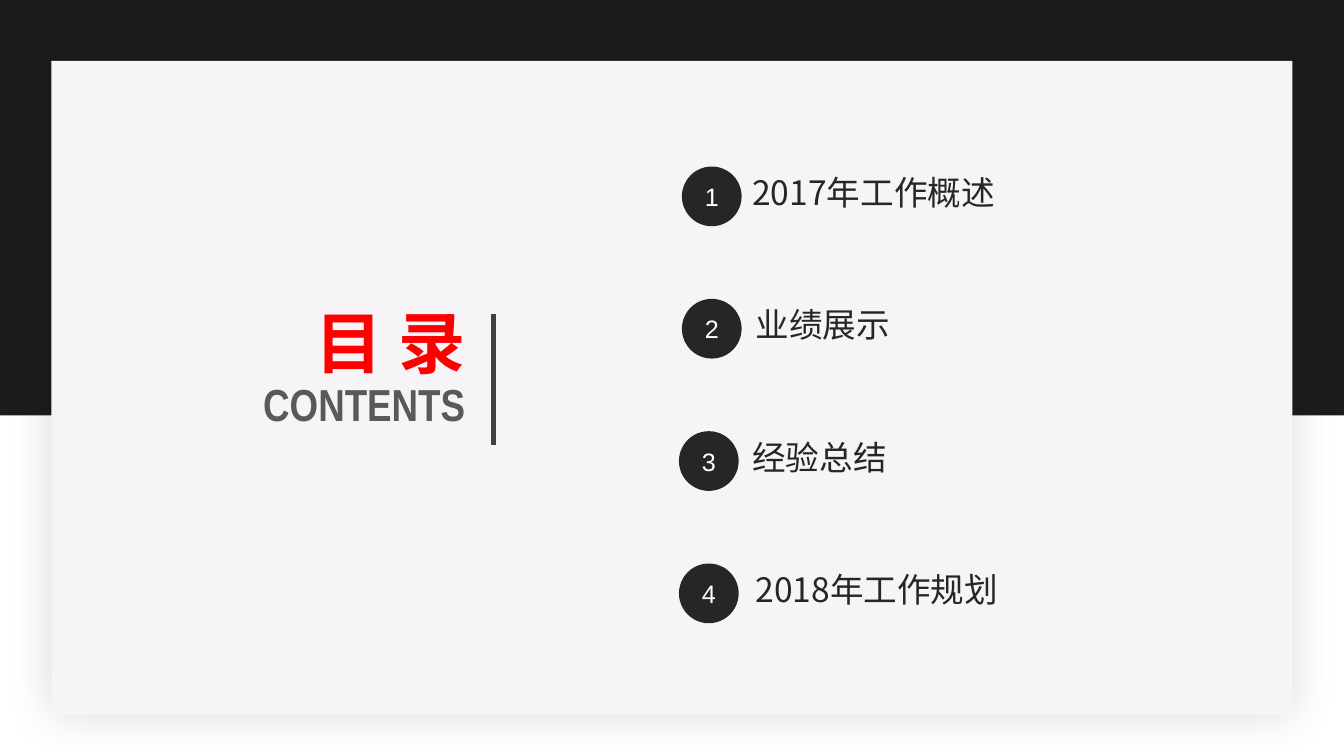
from lxml import etree
from pptx import Presentation
from pptx.dml.color import RGBColor
from pptx.enum.shapes import MSO_CONNECTOR, MSO_SHAPE
from pptx.enum.text import MSO_ANCHOR, MSO_AUTO_SIZE, PP_ALIGN
from pptx.oxml.ns import qn
from pptx.util import Pt

RECTANGLE, OVAL = MSO_SHAPE.RECTANGLE, MSO_SHAPE.OVAL
STRAIGHT = MSO_CONNECTOR.STRAIGHT
TOP, MIDDLE = MSO_ANCHOR.TOP, MSO_ANCHOR.MIDDLE
NO_FIT = MSO_AUTO_SIZE.NONE
LEFT, CENTER, RIGHT = PP_ALIGN.LEFT, PP_ALIGN.CENTER, PP_ALIGN.RIGHT

BLACK = RGBColor(0x1C, 0x1C, 0x1C)
PAPER = RGBColor(0xF7, 0xF4, 0xF8)
RED = RGBColor(0xFE, 0x00, 0x00)
GRAY = RGBColor(0x59, 0x59, 0x59)
DARK = RGBColor(0x26, 0x26, 0x26)
RULE = RGBColor(0x40, 0x40, 0x40)
WHITE = RGBColor(0xFF, 0xFF, 0xFF)

CJK_FONT = "Noto Sans CJK SC"
HEADING = {"name": CJK_FONT, "size": Pt(36), "bold": True}
SUBHEADING = {"name": "Arial Narrow", "size": Pt(24), "bold": True}
ITEM = {"name": CJK_FONT, "size": Pt(18)}
NUMBER = {"name": "Arial", "size": Pt(13.5)}

FIRST_TOP, ROW_STEP, CIRCLE_SIZE = 89.2, 70.9, 32
ROWS = [
    ("2017年工作概述", 365.3, 396, 147),
    ("业绩展示", 365.3, 397.7, 88),
    ("经验总结", 363.7, 396, 88),
    ("2018年工作规划", 363.7, 397.7, 147),
]


def place(shape, left, top, width, height):
    """Move and size a shape in points."""
    bounds = {"left": left, "top": top, "width": width, "height": height}
    for name, value in bounds.items():
        setattr(shape, name, Pt(value))


def write(para, text, font, color, align, spacing=1.0):
    """Write one formatted run into a paragraph."""
    layout = {"alignment": align, "line_spacing": spacing,
              "space_before": Pt(0), "space_after": Pt(0)}
    for name, value in layout.items():
        setattr(para, name, value)
    span = para.add_run()
    span.text = text
    for name, value in font.items():
        setattr(span.font, name, value)
    span.font.color.rgb = color
    east_asian = etree.SubElement(span.font._element, qn("a:ea"))
    east_asian.set("typeface", font["name"])


def set_frame(shape, anchor):
    """Prepare a wrapping text frame and return it."""
    frame = shape.text_frame
    settings = {"word_wrap": True, "auto_size": NO_FIT, "vertical_anchor": anchor}
    for name, value in settings.items():
        setattr(frame, name, value)
    return frame


def add_filled(page, kind, bounds, color):
    """Add a flat filled shape without an outline."""
    shape = page.shapes.add_shape(kind, *map(Pt, bounds))
    shape.shadow.inherit = False
    shape.fill.solid()
    shape.fill.fore_color.rgb = color
    shape.line.fill.background()
    return shape


def add_soft_shadow(shape, blur, opacity):
    """Give a shape a centred blurred black shadow."""
    effects = shape.element.spPr.find(qn("a:effectLst"))
    shadow = etree.SubElement(effects, qn("a:outerShdw"), blurRad=str(Pt(blur)),
                              dist="0", dir="0", algn="ctr", rotWithShape="0")
    color = etree.SubElement(shadow, qn("a:srgbClr"), val="000000")
    etree.SubElement(color, qn("a:alpha"), val=str(opacity * 1000))


def add_backdrop(page):
    """Put the dark band and the paper panel behind the title."""
    band = add_filled(page, RECTANGLE, (0, 0, 720, 222.6), BLACK)
    panel = add_filled(page, RECTANGLE, (27.5, 32.6, 664.8, 350.4), PAPER)
    add_soft_shadow(panel, 24, 15)
    for shape in (band, panel):
        page.shapes.title.element.addprevious(shape.element)


def add_heading(page):
    """Fill the title placeholder and add the rule beside it."""
    title = page.shapes.title
    place(title, 110.2, 162.7, 146.2, 79.9)
    frame = set_frame(title, TOP)
    write(frame.paragraphs[0], "目 录", HEADING, RED, RIGHT, 0.9)
    write(frame.add_paragraph(), "CONTENTS", SUBHEADING, GRAY, RIGHT, 0.9)
    rule = page.shapes.add_connector(STRAIGHT, Pt(264.4), Pt(168), Pt(264.4), Pt(238.3))
    rule.line.color.rgb = RULE
    rule.line.width = Pt(3)
    etree.SubElement(rule.element.spPr, qn("a:effectLst"))


def add_entry(page, number, text, circle_left, text_left, text_width):
    """Add one numbered contents entry."""
    top = FIRST_TOP + (number - 1) * ROW_STEP
    circle = add_filled(page, OVAL, (circle_left, top, CIRCLE_SIZE, CIRCLE_SIZE), DARK)
    frame = set_frame(circle, MIDDLE)
    for side in ("left", "top", "right", "bottom"):
        setattr(frame, f"margin_{side}", 0)
    write(frame.paragraphs[0], str(number), NUMBER, WHITE, CENTER)
    box = page.shapes.add_textbox(Pt(text_left), Pt(top + 3), Pt(text_width), Pt(28.8))
    frame = set_frame(box, TOP)
    write(frame.paragraphs[0], text, ITEM, DARK, LEFT, 0.83)


def main():
    """Build the contents page."""
    deck = Presentation()
    deck.slide_width, deck.slide_height = Pt(720), Pt(405)
    page = deck.slides.add_slide(deck.slide_layouts.get_by_name("Title Only"))
    add_backdrop(page)
    add_heading(page)
    for number, row in enumerate(ROWS, start=1):
        add_entry(page, number, *row)
    deck.save("out.pptx")


if __name__ == "__main__":
    main()
